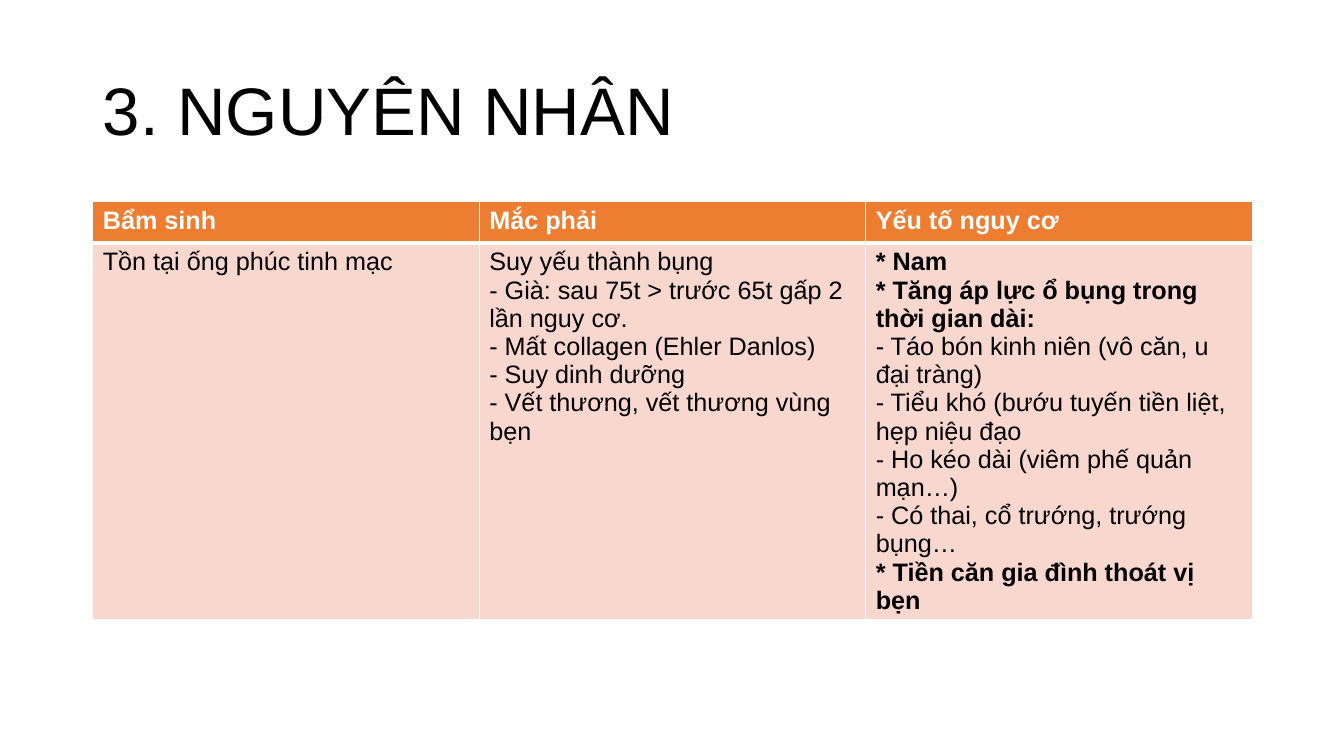
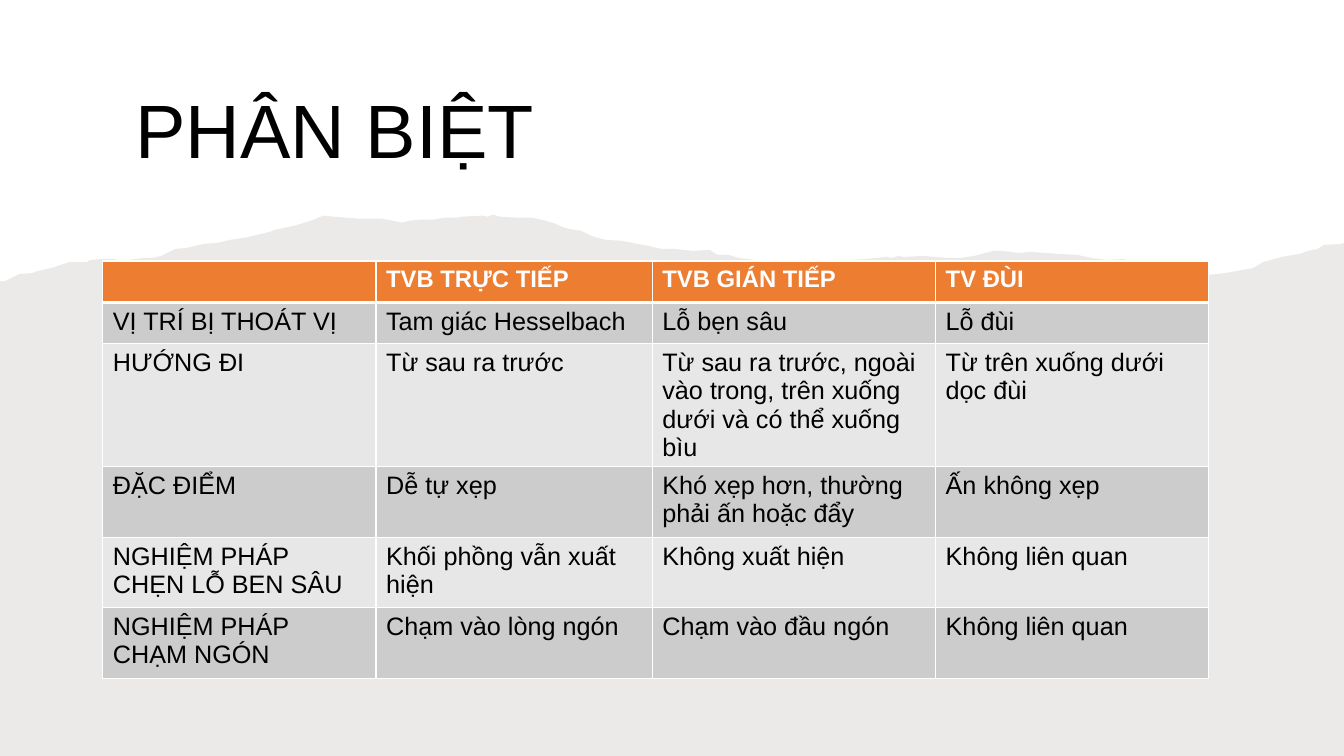
from dataclasses import dataclass

from lxml.etree import SubElement
from pptx import Presentation
from pptx.dml.color import RGBColor as RGB
from pptx.enum.text import MSO_ANCHOR as Anchor, MSO_AUTO_SIZE as AutoSize, PP_ALIGN as Align
from pptx.oxml.ns import qn
from pptx.util import Pt

PX = 9144  # EMU: 100 px to the inch
SLIDE_W, SLIDE_H = 1333, 750


@dataclass(frozen=True)
class Theme:
    font: str = "Arial"
    text: str = "000000"
    white: str = "FFFFFF"
    header: str = "ED7D31"
    peach: str = "F8D7CE"
    dark_grey: str = "CCCCCC"
    light_grey: str = "E7E7E7"
    paper: str = "82766A"
    paper_alpha: int = 15
    body_size: int = 18
    thin: int = 1
    thick: int = 3


THEME = Theme()

# A cell is a list of paragraphs; "\n" breaks the line inside a paragraph.
CAUSES = {
    "title": "3. NGUYÊN NHÂN",
    "title_box": (92, 40, 1150, 145),
    "title_size": 48,
    "at": (92, 200),
    "columns": [1150 / 3] * 3,
    "row_heights": [41, 372],
    "header_size": 18,
    "bands": [THEME.peach],
    "rows": [
        [["Bẩm sinh"], ["Mắc phải"], ["Yếu tố nguy cơ"]],
        [
            ["Tồn tại ống phúc tinh mạc"],
            [
                "Suy yếu thành bụng",
                "- Già: sau 75t > trước 65t gấp 2 lần nguy cơ.\n"
                "- Mất collagen (Ehler Danlos)\n"
                "- Suy dinh dưỡng",
                "- Vết thương, vết thương vùng bẹn",
            ],
            [
                "* Nam",
                "* Tăng áp lực ổ bụng trong thời gian dài:",
                "- Táo bón kinh niên (vô căn, u đại tràng)\n"
                "- Tiểu khó (bướu tuyến tiền liệt, hẹp niệu đạo\n"
                "- Ho kéo dài (viêm phế quản mạn…)",
                "- Có thai, cổ trướng, trướng bụng…",
                "* Tiền căn gia đình thoát vị bẹn",
            ],
        ],
    ],
}

COMPARISON = {
    "title": "PHÂN BIỆT",
    "title_box": (124, 81, 1087, 104),
    "title_size": 54,
    "at": (102, 259),
    "columns": [271, 274, 281, 271],
    "row_heights": [41, 41, 122, 70, 70, 70],
    "header_size": 17,
    "bands": [THEME.dark_grey, THEME.light_grey],
    "rows": [
        [[], ["TVB TRỰC TIẾP"], ["TVB GIÁN TIẾP"], ["TV ĐÙI"]],
        [["VỊ TRÍ BỊ THOÁT VỊ"], ["Tam giác Hesselbach"], ["Lỗ bẹn sâu"], ["Lỗ đùi"]],
        [
            ["HƯỚNG ĐI"],
            ["Từ sau ra trước"],
            ["Từ sau ra trước, ngoài vào trong, trên xuống dưới và có thể xuống bìu"],
            ["Từ trên xuống dưới dọc đùi"],
        ],
        [
            ["ĐẶC ĐIỂM"],
            ["Dễ tự xẹp"],
            ["Khó xẹp hơn, thường phải ấn hoặc đẩy"],
            ["Ấn không xẹp"],
        ],
        [
            ["NGHIỆM PHÁP CHẸN LỖ BEN SÂU"],
            ["Khối phồng vẫn xuất hiện"],
            ["Không xuất hiện"],
            ["Không liên quan"],
        ],
        [
            ["NGHIỆM PHÁP CHẠM NGÓN"],
            ["Chạm vào lòng ngón"],
            ["Chạm vào đầu ngón"],
            ["Không liên quan"],
        ],
    ],
}

# Torn upper edge of the paper, left to right
TORN_EDGE = [
    (0, 279), (5, 279), (19, 272), (32, 271), (37, 269), (51, 266), (57, 264),
    (69, 260), (78, 260), (86, 260), (90, 258), (101, 257), (114, 257),
    (118, 259), (127, 258), (142, 256), (151, 256), (160, 254), (174, 247),
    (185, 246), (202, 242), (216, 241), (228, 238), (242, 236), (247, 235),
    (268, 230), (273, 228), (292, 224), (302, 221), (311, 218), (321, 214),
    (330, 215), (344, 216), (356, 217), (378, 217), (390, 219), (399, 221),
    (406, 219), (416, 218), (429, 218), (441, 216), (453, 216), (459, 215),
    (478, 214), (484, 215), (489, 213), (495, 215), (514, 216), (528, 216),
    (541, 219), (551, 222), (557, 225), (564, 227), (576, 229), (589, 235),
    (601, 238), (617, 239), (643, 244), (656, 247), (669, 247), (687, 249),
    (704, 248), (712, 253), (723, 253), (733, 256), (750, 258), (764, 259),
    (770, 263), (784, 264), (798, 263), (807, 261), (823, 261), (841, 258),
    (859, 257), (879, 255), (885, 256), (891, 254), (896, 255), (916, 254),
    (928, 255), (941, 256), (952, 256), (966, 254), (985, 249), (995, 249),
    (1010, 251), (1023, 250), (1036, 251), (1050, 252), (1069, 253),
    (1083, 256), (1098, 258), (1114, 257), (1134, 263), (1169, 271),
    (1185, 274), (1206, 272), (1215, 271), (1243, 266), (1253, 260),
    (1271, 255), (1289, 252), (1297, 249), (1307, 247), (1313, 243),
    (1331, 242), (1333, 241),
]


def emu(*lengths):
    return [round(length * PX) for length in lengths]


def set_values(target, values):
    for name, value in values.items():
        setattr(target, name, value)


def format_runs(paragraph, size, color, bold=False):
    for run in paragraph.runs:
        set_values(run.font, {"name": THEME.font, "size": Pt(size), "bold": bold})
        run.font.color.rgb = RGB.from_string(color)


def add_titled_slide(deck, content):
    slide = deck.slides.add_slide(deck.slide_layouts[5])
    title = slide.shapes.title
    left, top, width, height = emu(*content["title_box"])
    set_values(title, {"left": left, "top": top, "width": width, "height": height})
    frame = title.text_frame
    set_values(frame, {"text": content["title"], "word_wrap": True,
                       "auto_size": AutoSize.NONE, "vertical_anchor": Anchor.MIDDLE})
    heading = frame.paragraphs[0]
    set_values(heading, {"alignment": Align.LEFT, "line_spacing": 0.9})
    format_runs(heading, content["title_size"], THEME.text)
    return slide


def add_torn_paper(slide):
    outline = slide.shapes.build_freeform(*TORN_EDGE[0], scale=PX)
    outline.add_line_segments(TORN_EDGE[1:] + [(SLIDE_W, SLIDE_H), (0, SLIDE_H)], close=True)
    paper = outline.convert_to_shape()
    paper.shadow.inherit = False
    paper.line.fill.background()
    paper.fill.solid()
    paper.fill.fore_color.rgb = RGB.from_string(THEME.paper)
    color = next(paper.fill._xPr.iter(qn("a:srgbClr")))
    SubElement(color, qn("a:alpha"), val=str(THEME.paper_alpha * 1000))


def set_borders(cell, widths):
    """Draw white borders; widths maps the sides L, R, T, B to points."""
    properties = cell._tc.get_or_add_tcPr()
    for side, width in widths.items():
        line = SubElement(properties, qn(f"a:ln{side}"), w=str(Pt(width)))
        fill = SubElement(line, qn("a:solidFill"))
        SubElement(fill, qn("a:srgbClr"), val=THEME.white)


def fill_cell(cell, paragraphs, row, content):
    is_header = row == 0
    bands = content["bands"]
    set_borders(cell, {
        "L": THEME.thin,
        "R": THEME.thin,
        "T": THEME.thick if row == 1 else THEME.thin,
        "B": THEME.thick if is_header else THEME.thin,
    })
    cell.fill.solid()
    background = THEME.header if is_header else bands[(row - 1) % len(bands)]
    cell.fill.fore_color.rgb = RGB.from_string(background)
    size = content["header_size"] if is_header else THEME.body_size
    color = THEME.white if is_header else THEME.text
    frame = cell.text_frame
    for index, text in enumerate(paragraphs):
        paragraph = frame.add_paragraph() if index else frame.paragraphs[0]
        paragraph.text = text
        format_runs(paragraph, size, color, bold=is_header or text.startswith("*"))


def add_content_table(slide, content):
    rows, columns, heights = content["rows"], content["columns"], content["row_heights"]
    box = emu(*content["at"], sum(columns), sum(heights))
    table = slide.shapes.add_table(len(rows), len(columns), *box).table
    for column, width in zip(table.columns, emu(*columns)):
        column.width = width
    for row, height in zip(table.rows, emu(*heights)):
        row.height = height
    for row, cells in enumerate(rows):
        for column, paragraphs in enumerate(cells):
            fill_cell(table.cell(row, column), paragraphs, row, content)


def main():
    deck = Presentation()
    deck.slide_width, deck.slide_height = emu(SLIDE_W, SLIDE_H)

    causes = add_titled_slide(deck, CAUSES)
    add_content_table(causes, CAUSES)

    comparison = add_titled_slide(deck, COMPARISON)
    add_torn_paper(comparison)
    add_content_table(comparison, COMPARISON)

    deck.save("out.pptx")


if __name__ == "__main__":
    main()
